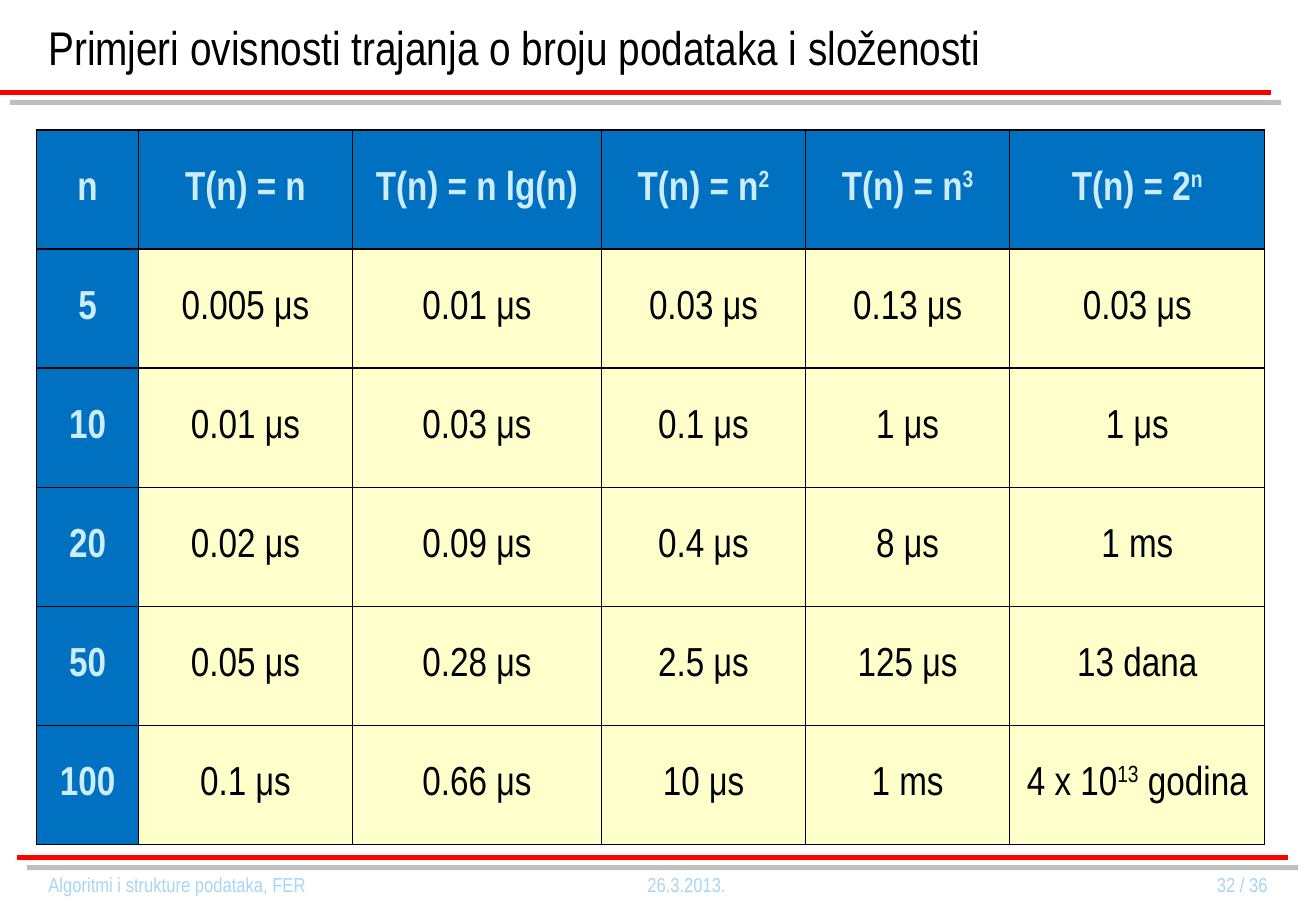
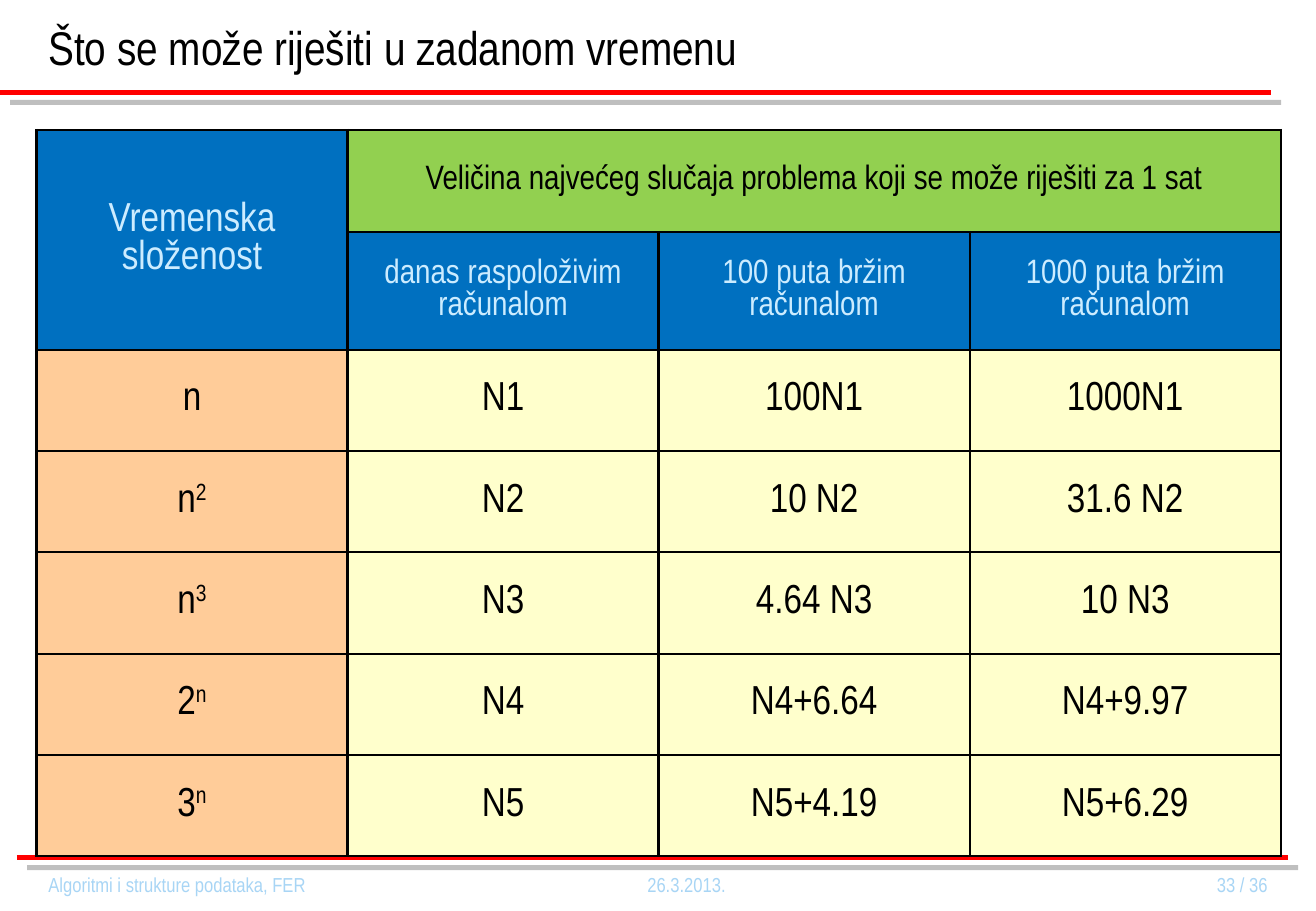
from dataclasses import dataclass
from typing import Optional

from lxml import etree
from pptx import Presentation
from pptx import util as u
from pptx.dml.color import RGBColor
from pptx.enum import shapes, text
from pptx.oxml import parse_xml
from pptx.oxml.ns import nsdecls, qn


@dataclass(frozen=True)
class Theme:
    font: str = "Arial Narrow"
    ink: str = "000000"
    pale: str = "CCECFF"
    footer: str = "A8D5F5"
    rule: str = "FF0000"
    shadow: str = "808080"
    blue: str = "0070C0"
    green: str = "92D050"
    peach: str = "FFCC99"
    cream: str = "FFFFCC"
    title_size: int = 28
    table_size: int = 24
    subhead_size: int = 20
    footer_size: int = 12


THEME = Theme()
WIDTH, HEIGHT = 10.83, 7.5
MARGIN, TABLE_TOP = 0.3, 1.07
TOTAL_SLIDES = 36
ALIGN = text.PP_ALIGN


@dataclass(frozen=True)
class Box:
    left: float
    top: float
    width: float
    height: float

    def lengths(self) -> list[u.Emu]:
        return [u.Inches(n) for n in (self.left, self.top, self.width, self.height)]


@dataclass(frozen=True)
class CellStyle:
    fill: str
    color: str = THEME.ink
    size: int = THEME.table_size
    bold: bool = False


@dataclass(frozen=True)
class Cell:
    content: str
    style: CellStyle
    row_span: int = 1
    column_span: int = 1


@dataclass(frozen=True)
class TableSlide:
    title: str
    number: int
    columns: list[float]
    rows: list[float]
    border: float
    cells: list[list[Optional[Cell]]]


@dataclass(frozen=True)
class Rule:
    left: float
    top: float
    length: float = 10.46


RULES = (Rule(0, 0.76), Rule(0.14, 7.06))
TITLE_BOX = Box(MARGIN, 0, 10.16, 0.67)
FOOTER_TOP, FOOTER_HEIGHT = 7.09, 0.38

BOLD_HEAD = CellStyle(THEME.blue, THEME.pale, bold=True)
HEAD = CellStyle(THEME.blue, THEME.pale)
SUBHEAD = CellStyle(THEME.blue, THEME.pale, THEME.subhead_size)
BANNER = CellStyle(THEME.green, size=THEME.subhead_size)
COMPLEXITY = CellStyle(THEME.peach)
VALUE = CellStyle(THEME.cream)


def write_text(frame, content: str, *, size: int, color: str = THEME.ink,
               bold: bool = False, align: ALIGN = ALIGN.LEFT) -> None:
    """Write one paragraph; every second part between ^ marks is superscript."""
    paragraph = frame.paragraphs[0]
    paragraph.alignment = align
    for index, part in enumerate(content.split("^")):
        run = paragraph.add_run()
        run.text = part
        run.font.name = THEME.font
        run.font.size = u.Pt(size)
        run.font.bold = bold
        run.font.color.rgb = RGBColor.from_string(color)
        if index % 2:
            run._r.get_or_add_rPr().set("baseline", "30000")


def add_text_box(slide, box: Box, content: str, *, anchor: text.MSO_ANCHOR,
                 **text_format) -> None:
    frame = slide.shapes.add_textbox(*box.lengths()).text_frame
    frame.word_wrap = True
    frame.vertical_anchor = anchor
    write_text(frame, content, **text_format)


def add_rule(slide, rule: Rule) -> None:
    """Draw a red line with a hard grey shadow below right."""
    left, top = u.Inches(rule.left), u.Inches(rule.top)
    line = slide.shapes.add_connector(
        shapes.MSO_CONNECTOR.STRAIGHT, left, top, left + u.Inches(rule.length), top)
    line.line.color.rgb = RGBColor.from_string(THEME.rule)
    line.line.width = u.Pt(3)
    line._element.spPr.append(parse_xml(
        f'<a:effectLst {nsdecls("a")}>'
        f'<a:outerShdw dist="{u.Pt(8.5)}" dir="{45 * 60000}" algn="ctr" rotWithShape="0">'
        f'<a:srgbClr val="{THEME.shadow}"><a:alpha val="50000"/></a:srgbClr>'
        '</a:outerShdw></a:effectLst>'))


def add_frame(slide, title: str, number: int) -> None:
    """Add what the slides share: rules, title and footer."""
    for rule in RULES:
        add_rule(slide, rule)
    add_text_box(slide, TITLE_BOX, title, anchor=text.MSO_ANCHOR.BOTTOM,
                 size=THEME.title_size)
    footers = (
        (MARGIN, 3.5, "Algoritmi i strukture podataka, FER", ALIGN.LEFT),
        (4.4, 2.5, "26.3.2013.", ALIGN.CENTER),
        (8.53, 2, f"{number} / {TOTAL_SLIDES}", ALIGN.RIGHT),
    )
    for left, width, content, align in footers:
        add_text_box(slide, Box(left, FOOTER_TOP, width, FOOTER_HEIGHT), content,
                     anchor=text.MSO_ANCHOR.MIDDLE, size=THEME.footer_size,
                     color=THEME.footer, align=align)


def set_borders(cell, width: float) -> None:
    properties = cell._tc.get_or_add_tcPr()
    for side in ("lnL", "lnR", "lnT", "lnB"):
        line = etree.SubElement(properties, qn(f"a:{side}"), w=str(u.Pt(width)))
        fill = etree.SubElement(line, qn("a:solidFill"))
        etree.SubElement(fill, qn("a:srgbClr"), val=THEME.ink)


def add_table(slide, content: TableSlide) -> None:
    box = Box(MARGIN, TABLE_TOP, sum(content.columns), sum(content.rows))
    table = slide.shapes.add_table(
        len(content.rows), len(content.columns), *box.lengths()).table
    table.first_row = table.horz_banding = False
    for column, width in zip(table.columns, content.columns):
        column.width = u.Inches(width)
    for row, height in zip(table.rows, content.rows):
        row.height = u.Inches(height)
    for row_index, row_cells in enumerate(content.cells):
        for column_index, item in enumerate(row_cells):
            cell = table.cell(row_index, column_index)
            set_borders(cell, content.border)
            if item is None:
                continue
            style = item.style
            if item.row_span * item.column_span > 1:
                cell.merge(table.cell(row_index + item.row_span - 1,
                                      column_index + item.column_span - 1))
            cell.fill.solid()
            cell.fill.fore_color.rgb = RGBColor.from_string(style.fill)
            cell.vertical_anchor = text.MSO_ANCHOR.MIDDLE
            write_text(cell.text_frame, item.content, size=style.size,
                       color=style.color, bold=style.bold, align=ALIGN.CENTER)


def styled_row(contents: list[str], first: CellStyle, rest: CellStyle) -> list[Cell]:
    return [Cell(content, rest if index else first)
            for index, content in enumerate(contents)]


DURATION_HEADS = ["n", "T(n) = n", "T(n) = n lg(n)", "T(n) = n^2", "T(n) = n^3",
                  "T(n) = 2^n"]
DURATIONS = [
    ["5", "0.005 μs", "0.01 μs", "0.03 μs", "0.13 μs", "0.03 μs"],
    ["10", "0.01 μs", "0.03 μs", "0.1 μs", "1 μs", "1 μs"],
    ["20", "0.02 μs", "0.09 μs", "0.4 μs", "8 μs", "1 ms"],
    ["50", "0.05 μs", "0.28 μs", "2.5 μs", "125 μs", "13 dana"],
    ["100", "0.1 μs", "0.66 μs", "10 μs", "1 ms", "4 x 10^13^ godina"],
]
SPEEDS = ["danas raspoloživim računalom", "100 puta bržim računalom",
          "1000 puta bržim računalom"]
PROBLEM_SIZES = [
    ["n", "N1", "100N1", "1000N1"],
    ["n^2", "N2", "10 N2", "31.6 N2"],
    ["n^3", "N3", "4.64 N3", "10 N3"],
    ["2^n", "N4", "N4+6.64", "N4+9.97"],
    ["3^n", "N5", "N5+4.19", "N5+6.29"],
]
BANNER_ROW, SUBHEAD_ROW = 0.84, 0.97
SIZE_ROW = (5.98 - BANNER_ROW - SUBHEAD_ROW) / len(PROBLEM_SIZES)

SLIDES = (
    TableSlide(
        title="Primjeri ovisnosti trajanja o broju podataka i složenosti",
        number=32,
        columns=[0.84, 1.76, 2.05, 1.68, 1.68, 2.1],
        rows=[0.98] * 6,
        border=0.75,
        cells=[styled_row(DURATION_HEADS, BOLD_HEAD, BOLD_HEAD)]
        + [styled_row(row, BOLD_HEAD, VALUE) for row in DURATIONS],
    ),
    TableSlide(
        title="Što se može riješiti u zadanom vremenu",
        number=33,
        columns=[2.56] * 4,
        rows=[BANNER_ROW, SUBHEAD_ROW] + [SIZE_ROW] * len(PROBLEM_SIZES),
        border=1.5,
        cells=[
            [Cell("Vremenska složenost", HEAD, row_span=2),
             Cell("Veličina najvećeg slučaja problema koji se može riješiti za 1 sat",
                  BANNER, column_span=3), None, None],
            [None] + styled_row(SPEEDS, SUBHEAD, SUBHEAD),
        ] + [styled_row(row, COMPLEXITY, VALUE) for row in PROBLEM_SIZES],
    ),
)


def main() -> None:
    presentation = Presentation()
    presentation.slide_width = u.Inches(WIDTH)
    presentation.slide_height = u.Inches(HEIGHT)
    blank_layout = presentation.slide_layouts[6]
    for content in SLIDES:
        slide = presentation.slides.add_slide(blank_layout)
        add_frame(slide, content.title, content.number)
        add_table(slide, content)
    presentation.save("out.pptx")


if __name__ == "__main__":
    main()
